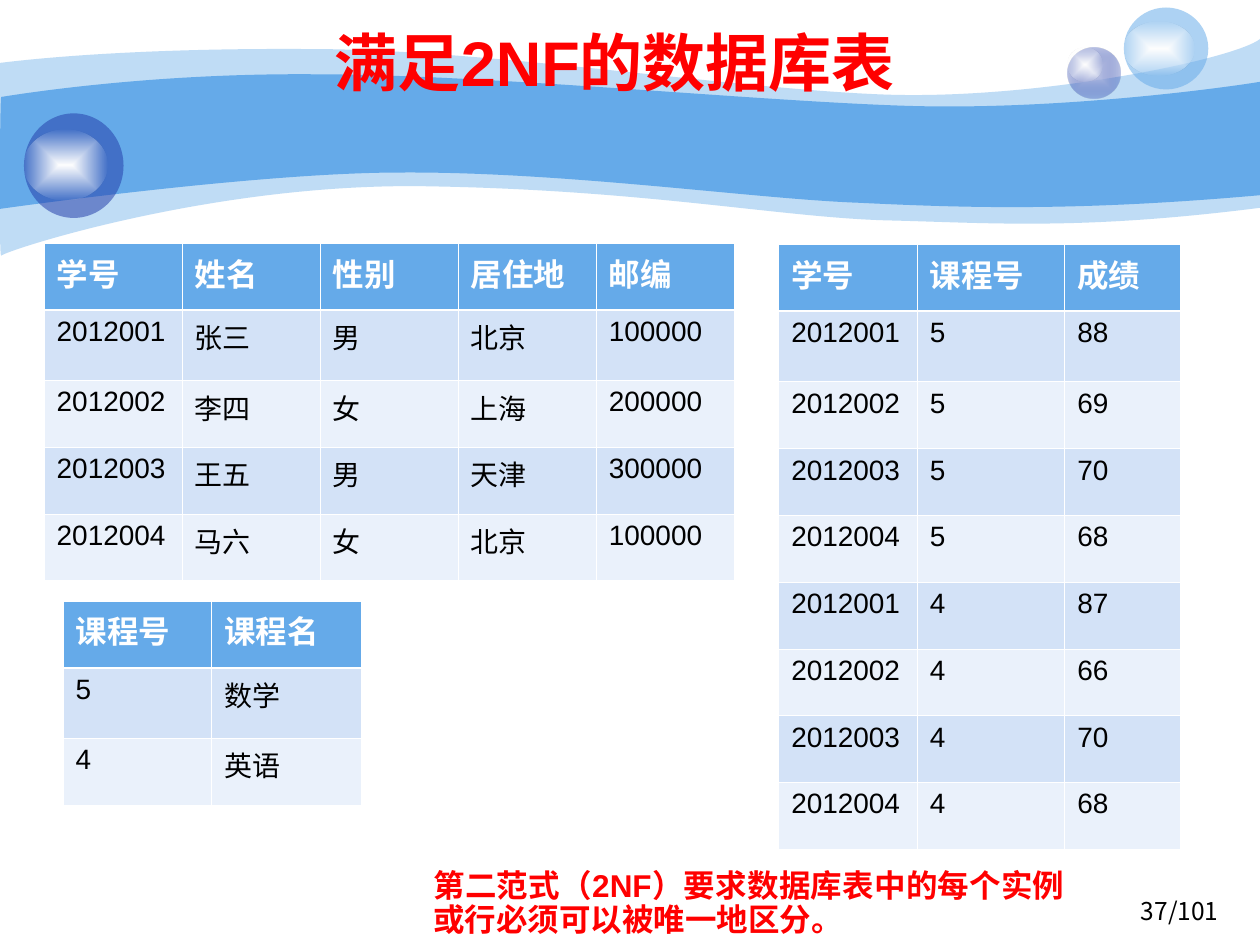
from lxml import etree
from pptx import Presentation
from pptx import util as u
from pptx.dml.color import RGBColor
from pptx.enum import shapes, text
from pptx.oxml import parse_xml
from pptx.oxml.ns import nsdecls, qn

BLUE, NAVY, WHITE, RED, BLACK = "65AAE9", "233DA9", "FFFFFF", "FF0000", "000000"
BANDS = ["D3E2F7", "EAF1FB"]


def rgb(value):
    return RGBColor.from_string(value)


def paint(shape, stops):
    shape.shadow.inherit = False
    shape.line.fill.background()
    colors = [
        f'<a:srgbClr val="{color}"><a:alpha val="{alpha * 1000}"/></a:srgbClr>'
        for color, alpha in stops
    ]
    if len(colors) == 1:
        xml = f'<a:solidFill {nsdecls("a")}>{colors[0]}</a:solidFill>'
    else:
        xml = (
            f'<a:gradFill {nsdecls("a")} rotWithShape="1"><a:gsLst>'
            f'<a:gs pos="0">{colors[0]}</a:gs><a:gs pos="100000">{colors[1]}</a:gs>'
            '</a:gsLst><a:path path="rect">'
            '<a:fillToRect l="50000" t="50000" r="50000" b="50000"/>'
            '</a:path></a:gradFill>'
        )
    shape.fill.background()
    properties = shape._element.spPr
    properties.replace(properties.find(qn("a:noFill")), parse_xml(xml))


prs = Presentation()
prs.slide_width, prs.slide_height = u.Inches(10), u.Inches(7.5)
slide = prs.slides.add_slide(prs.slide_layouts[6])

waves = [
    (41, [
        [(0, 0.5)],
        [(0.24, 0.47), (1.07, 0.38), (2.47, 0.39)],
        [(3.86, 0.39), (5.75, 0.7), (6.99, 0.75)],
        [(8.22, 0.8), (9.8, 0.47), (10, 0.31)],
        [(10, 1.65)],
        [(8.58, 1.83), (7.87, 1.77), (7.05, 1.75)],
        [(6.22, 1.73), (5.15, 1.51), (3.43, 1.48)],
        [(1.72, 1.44), (0.04, 1.99), (0.01, 2.03)],
        [(-0.01, 2.08), (0, 0.75), (0, 0.5)],
    ]),
    (100, [
        [(0.01, 0.77)],
        [(0.02, 0.77), (1.1, 0.58), (2.48, 0.59)],
        [(3.86, 0.59), (5.95, 0.8), (7.18, 0.84)],
        [(8.41, 0.88), (9.76, 0.69), (10, 0.65)],
        [(10, 1.55)],
        [(8.53, 1.68), (7.65, 1.65), (6.82, 1.61)],
        [(5.99, 1.58), (4.47, 1.36), (3.17, 1.37)],
        [(2.03, 1.37), (-0.02, 1.66), (-0.01, 1.66)],
        [(0, 1.66), (0, 0.77), (0.01, 0.77)],
    ]),
]
for alpha, segments in waves:
    points = [(u.Inches(x), u.Inches(y)) for segment in segments for x, y in segment]
    builder = slide.shapes.build_freeform(*points[0])
    builder.add_line_segments(points[1:], close=True)
    wave = builder.convert_to_shape()
    lines = iter(list(wave._element.iter(qn("a:lnTo"))))
    for segment in segments[1:]:
        pieces = [next(lines) for _ in segment]
        if len(pieces) == 3:
            curve = etree.Element(qn("a:cubicBezTo"))
            pieces[0].addprevious(curve)
            for piece in pieces:
                curve.append(piece[0])
                piece.getparent().remove(piece)
    paint(wave, [(BLUE, alpha)])

glow = [(WHITE, 100), (WHITE, 0)]
bubbles = [
    (8.47, 0.38, 0.42, 0.4, [("C7CEE9", 100), (NAVY, 31)]),
    (8.47, 0.38, 0.28, 0.27, glow),
    (8.92, 0.06, 0.67, 0.65, [(BLUE, 53)]),
    (8.92, 0.17, 0.56, 0.43, glow),
    (0.19, 0.9, 0.79, 0.83, [(NAVY, 53)]),
    (0.19, 1.03, 0.66, 0.56, glow),
]
for *place, stops in bubbles:
    bubble = slide.shapes.add_shape(shapes.MSO_SHAPE.OVAL, *map(u.Inches, place))
    paint(bubble, stops)

students = [
    ["学号", "姓名", "性别", "居住地", "邮编"],
    ["2012001", "张三", "男", "北京", "100000"],
    ["2012002", "李四", "女", "上海", "200000"],
    ["2012003", "王五", "男", "天津", "300000"],
    ["2012004", "马六", "女", "北京", "100000"],
]
courses = [["课程号", "课程名"], ["5", "数学"], ["4", "英语"]]
scores = [["学号", "课程号", "成绩"]]
for course, marks in [("5", [88, 69, 70, 68]), ("4", [87, 66, 70, 68])]:
    for student, mark in zip(students[1:], marks):
        scores.append([student[0], course, str(mark)])

relations = [
    (0.35, 1.93, [5.48 / 5] * 5, students),
    (0.5, 4.77, [1.18, 1.19], courses),
    (6.18, 1.94, [1.1, 1.17, 0.92], scores),
]
for left, top, widths, records in relations:
    heights = [0.53, 0.56] + [0.53] * (len(records) - 2)
    relation = slide.shapes.add_table(
        len(records), len(widths), u.Inches(left), u.Inches(top),
        u.Inches(sum(widths)), u.Inches(sum(heights)),
    ).table
    for column, width in zip(relation.columns, widths):
        column.width = u.Inches(width)
    for i, record in enumerate(records):
        relation.rows[i].height = u.Inches(heights[i])
        for j, value in enumerate(record):
            cell = relation.cell(i, j)
            cell.text = value
            cell.fill.solid()
            cell.fill.fore_color.rgb = rgb(BANDS[(i - 1) % 2] if i else BLUE)
            font = cell.text_frame.paragraphs[0].font
            font.name, font.bold = "Arial", i == 0
            font.size = u.Pt(16 if i else 18)
            font.color.rgb = rgb(BLACK if i else WHITE)
            thick = {"B": 0, "T": 1}
            for position, side in enumerate("LRTB"):
                width = u.Pt(1.47 if thick.get(side) == i else 0.45)
                border = etree.Element(qn(f"a:ln{side}"), w=str(width))
                ink = etree.SubElement(border, qn("a:solidFill"))
                etree.SubElement(ink, qn("a:srgbClr"), val=WHITE)
                cell._tc.tcPr.insert(position, border)

captions = [
    ((0.84, 0.18, 8.08, 0.62), "满足2NF的数据库表", 36, "Arial", RED, True,
     text.PP_ALIGN.CENTER, text.MSO_ANCHOR.MIDDLE, 1),
    ((7.44, 7.06, 2.33, 0.29), "37/101", 14, "Noto Sans CJK SC", BLACK, False,
     text.PP_ALIGN.RIGHT, text.MSO_ANCHOR.TOP, 1),
    ((3.34, 6.86, 5.21, 0.64), "第二范式（2NF）要求数据库表中的每个实例或行必须可以被唯一地区分。",
     18, "Arial", RED, True, text.PP_ALIGN.JUSTIFY, text.MSO_ANCHOR.TOP, 0.9),
]
for place, words, size, face, color, bold, align, anchor, spacing in captions:
    frame = slide.shapes.add_textbox(*map(u.Inches, place)).text_frame
    frame.word_wrap = True
    frame.vertical_anchor = anchor
    paragraph = frame.paragraphs[0]
    paragraph.text = words
    paragraph.alignment, paragraph.line_spacing = align, float(spacing)
    paragraph.font.name, paragraph.font.size = face, u.Pt(size)
    paragraph.font.bold = bold
    paragraph.font.color.rgb = rgb(color)

prs.save("out.pptx")
